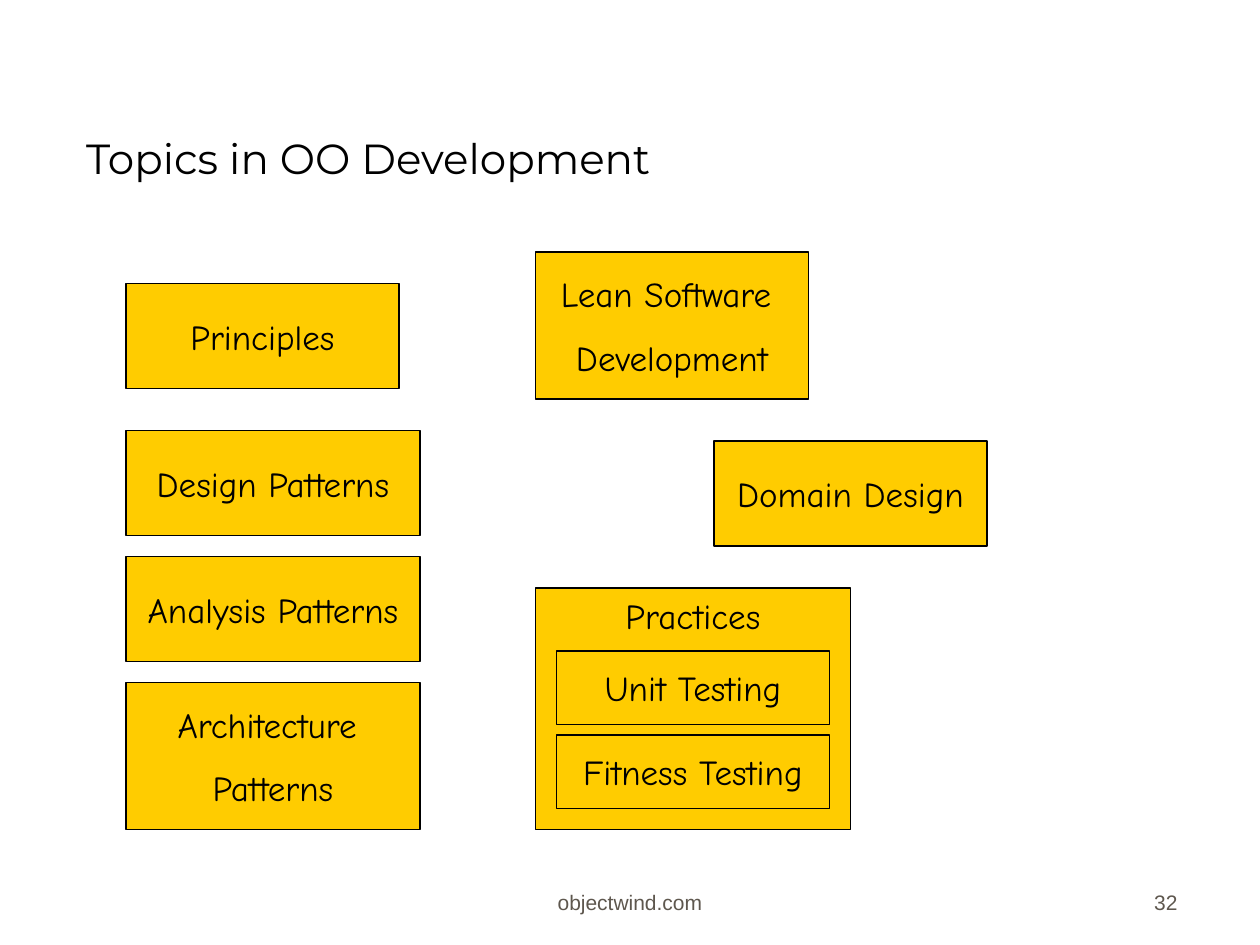
from pptx import Presentation
from pptx.dml.color import RGBColor
from pptx.enum.shapes import MSO_SHAPE
from pptx.enum.text import MSO_ANCHOR, MSO_AUTO_SIZE, PP_ALIGN
from pptx.util import Pt

BLACK, GOLD, GREY = "000000", "FFCC00", "5E574E"

# label lines, left, top, width, height
TOPICS = [
    (["Domain Design"], 408, 252, 156, 60),
    (["Design Patterns"], 72, 246, 168, 60),
    (["Principles"], 72, 162, 156, 60),
    (["Lean Software ", "Development"], 306, 144, 156, 84),
    (["Analysis Patterns"], 72, 318, 168, 60),
    (["Architecture ", "Patterns"], 72, 390, 168, 84),
]
PRACTICES = ["Unit Testing", "Fitness Testing"]


def color(hex_code):
    return RGBColor.from_string(hex_code)


def write(tf, lines, name, size, hex_code, align, anchor):
    tf.vertical_anchor = anchor
    tf.text = "\n".join(lines)
    for i, p in enumerate(tf.paragraphs):
        p.alignment = align
        p.space_before = Pt(12.5 if i else 0)
        p.font.name = name
        p.font.size = Pt(size)
        p.font.color.rgb = color(hex_code)


def add_title(slide, text):
    title = slide.shapes.title
    title.left, title.top, title.width, title.height = Pt(42), Pt(18), Pt(578), Pt(90)
    tf = title.text_frame
    tf.auto_size = MSO_AUTO_SIZE.NONE
    write(tf, [text], "Montserrat", 24, BLACK, PP_ALIGN.LEFT, MSO_ANCHOR.BOTTOM)


def add_topic(slide, lines, left, top, width, height, anchor=MSO_ANCHOR.MIDDLE):
    sp = slide.shapes.add_shape(
        MSO_SHAPE.RECTANGLE, Pt(left), Pt(top), Pt(width), Pt(height))
    sp.shadow.inherit = False
    sp.fill.solid()
    sp.fill.fore_color.rgb = color(GOLD)
    sp.line.color.rgb = color(BLACK)
    sp.line.width = Pt(0.75)
    tf = sp.text_frame
    tf.word_wrap = False
    write(tf, lines, "Comic Neue", 20, BLACK, PP_ALIGN.CENTER, anchor)


def add_practices(slide):
    add_topic(slide, ["Practices"], 306, 336, 180, 138, MSO_ANCHOR.TOP)
    for i, practice in enumerate(PRACTICES):
        add_topic(slide, [practice], 318, 372 + 48 * i, 156, 42)


def add_footer(slide, text, left, width, align):
    box = slide.shapes.add_textbox(Pt(left), Pt(490), Pt(width), Pt(36))
    tf = box.text_frame
    tf.word_wrap = True
    write(tf, [text], "Arial", 12, GREY, align, MSO_ANCHOR.BOTTOM)


def main():
    prs = Presentation()
    prs.slide_width, prs.slide_height = Pt(720), Pt(540)
    slide = prs.slides.add_slide(prs.slide_layouts.get_by_name("Title Only"))
    add_title(slide, "Topics in OO Development")
    for topic in TOPICS:
        add_topic(slide, *topic)
    add_practices(slide)
    add_footer(slide, "objectwind.com", 246, 228, PP_ALIGN.CENTER)
    add_footer(slide, "32", 530, 150, PP_ALIGN.RIGHT)
    prs.save("out.pptx")


if __name__ == "__main__":
    main()
